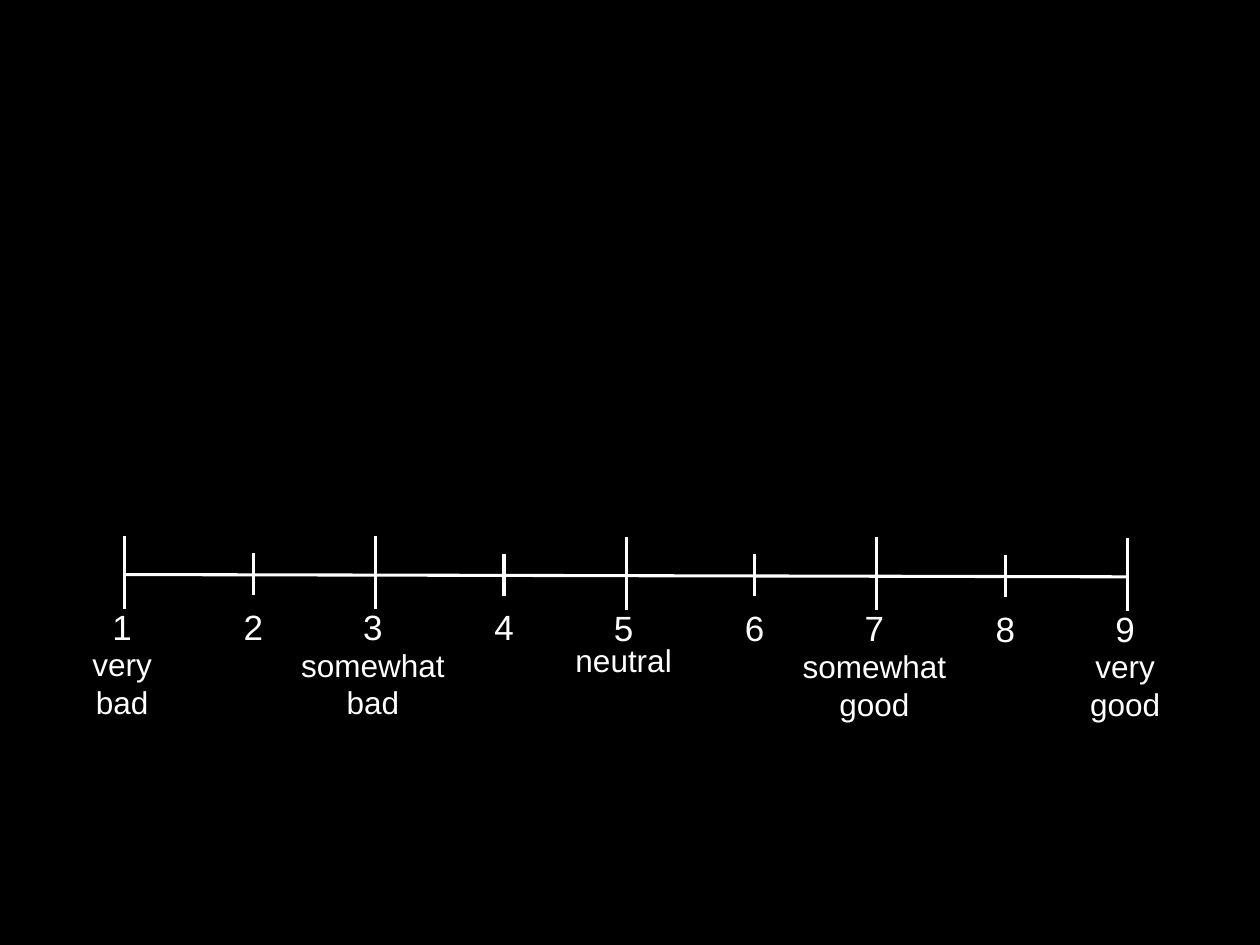
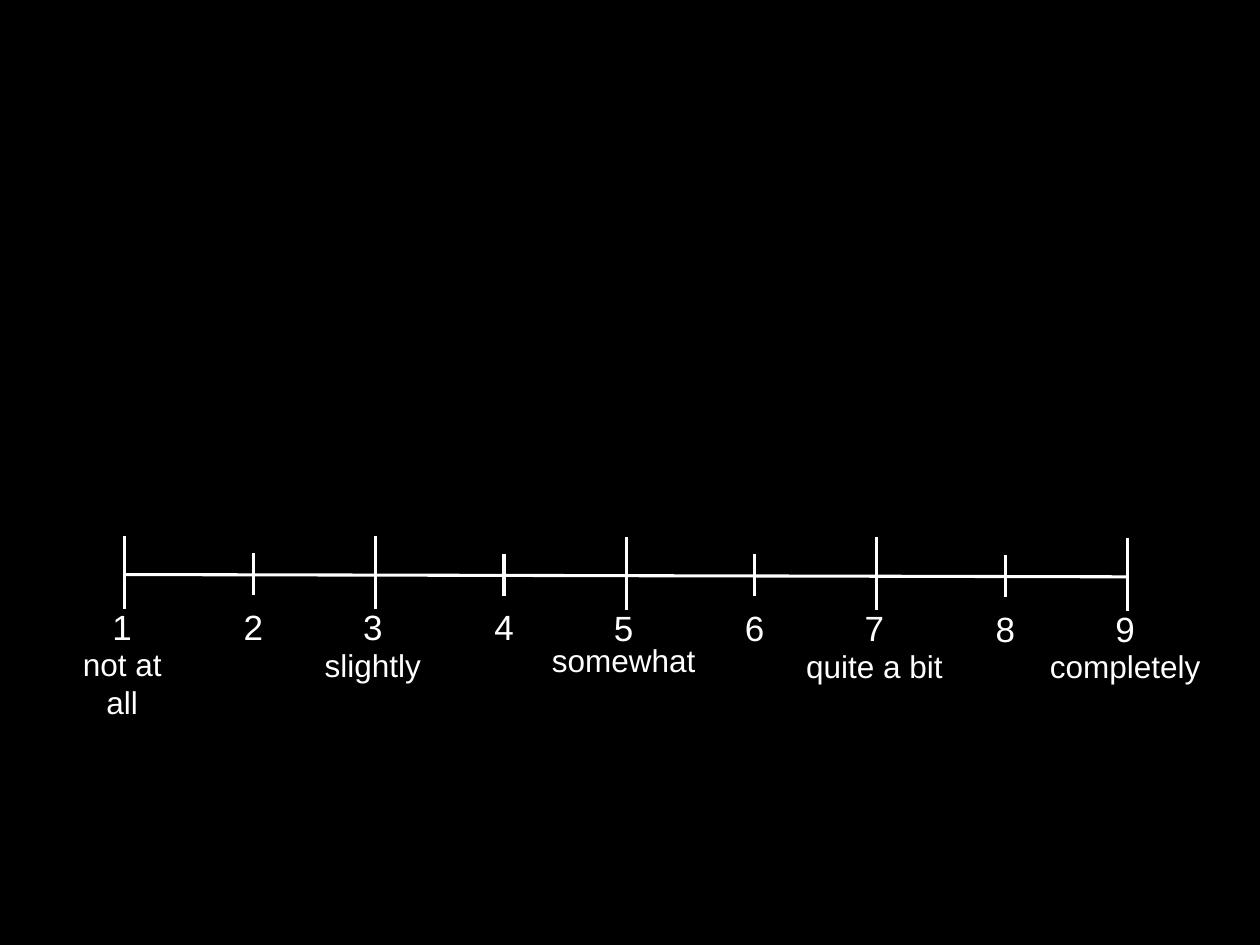
from dataclasses import dataclass

from lxml import etree
from pptx import Presentation
from pptx import util as u
from pptx.dml.color import RGBColor
from pptx.enum import shapes, text
from pptx.oxml import ns

BLACK = RGBColor(0x00, 0x00, 0x00)
WHITE = RGBColor(0xFF, 0xFF, 0xFF)
FONT = "Arial"
LINE_SPACING = 1.2

SLIDE_W, SLIDE_H = u.Inches(10), u.Inches(7.5)
COL, ROW = SLIDE_W / 100, SLIDE_H / 100

STEP = 19.9
AXIS_LEFT, AXIS_ROW, AXIS_DRIFT = 9.8, 60.8, 0.03
POINTS = 9


@dataclass(frozen=True)
class Tick:
    first_col: float
    number_col: float
    rise: float
    drop: float


@dataclass(frozen=True)
class TextStyle:
    size: int
    inset_x: float
    inset_y: float


@dataclass(frozen=True)
class Label:
    lines: tuple[str, ...]
    cols: float
    text_rows: int
    wrap: bool = False
    lift: float = 0


MAJOR = Tick(9.9, 9.7, 4.1, 3.6)
MINOR = Tick(20.1, 20.1, 2.27, 2.13)
NUMBER = TextStyle(20, 0.28, 0.14)
LABEL = TextStyle(18, 0.42, 0.21)

SCALES = (
    (
        Label(("very", "bad"), 17.7, 4, wrap=True),
        Label(("somewhat", "bad"), 19.7, 3),
        Label(("neutral",), 16, 1, lift=0.6),
        Label(("somewhat", "good"), 19.7, 3),
        Label(("very", "good"), 13.9, 3),
    ),
    (
        Label(("not at all",), 17.8, 4, wrap=True),
        Label(("slightly",), 16, 2),
        Label(("somewhat",), 20.4, 1, lift=0.6),
        Label(("quite a bit",), 19.2, 2),
        Label(("completely",), 20.3, 2),
    ),
)


def axis_row(point: int) -> float:
    return AXIS_ROW + AXIS_DRIFT * point


def add_line(s, x1: float, y1: float, x2: float, y2: float) -> None:
    line = s.shapes.add_connector(
        shapes.MSO_CONNECTOR.STRAIGHT,
        round(x1 * COL), round(y1 * ROW), round(x2 * COL), round(y2 * ROW),
    )
    line.line.color.rgb = WHITE
    line.line.width = u.Pt(1.75)
    etree.SubElement(line._element.spPr, ns.qn("a:effectLst"))


def add_text(s, lines: tuple[str, ...], style: TextStyle, center: float,
             top: float, cols: float, rows: float, wrap: bool = False) -> None:
    sp = s.shapes.add_textbox(
        round((center - cols / 2) * COL), round(top * ROW),
        round(cols * COL), round(rows * ROW),
    )
    tf = sp.text_frame
    tf.word_wrap = wrap
    tf.auto_size = text.MSO_AUTO_SIZE.NONE
    tf.margin_left = tf.margin_right = u.Inches(style.inset_x)
    tf.margin_top = tf.margin_bottom = u.Inches(style.inset_y)
    for i, line in enumerate(lines):
        p = tf.add_paragraph() if i else tf.paragraphs[0]
        p.alignment = text.PP_ALIGN.CENTER
        p.line_spacing = u.Pt(style.size * LINE_SPACING)
        r = p.add_run()
        r.text = line
        r.font.name = FONT
        r.font.size = u.Pt(style.size)
        r.font.color.rgb = WHITE


def add_axis(s) -> None:
    for segment in range(POINTS // 2):
        left = AXIS_LEFT + segment * STEP
        add_line(s, left, axis_row(2 * segment),
                 left + STEP, axis_row(2 * segment + 2))
    for point in range(POINTS):
        pair, is_minor = divmod(point, 2)
        tick = MINOR if is_minor else MAJOR
        x, y = tick.first_col + pair * STEP, axis_row(point)
        add_line(s, x, y - tick.rise, x, y + tick.drop)
        add_text(s, (str(point + 1),), NUMBER, tick.number_col + pair * STEP,
                 y + 1.35, 7.2, 8.13)


def add_labels(s, labels: tuple[Label, ...]) -> None:
    for i, label in enumerate(labels):
        add_text(s, label.lines, LABEL, MAJOR.number_col + i * STEP,
                 axis_row(2 * i) + 4.67 - label.lift,
                 label.cols, 5.6 + 4 * label.text_rows, label.wrap)


def main() -> None:
    prs = Presentation()
    prs.slide_width, prs.slide_height = SLIDE_W, SLIDE_H
    for labels in SCALES:
        s = prs.slides.add_slide(prs.slide_layouts[6])
        s.background.fill.solid()
        s.background.fill.fore_color.rgb = BLACK
        add_axis(s)
        add_labels(s, labels)
    prs.save("out.pptx")


if __name__ == "__main__":
    main()
